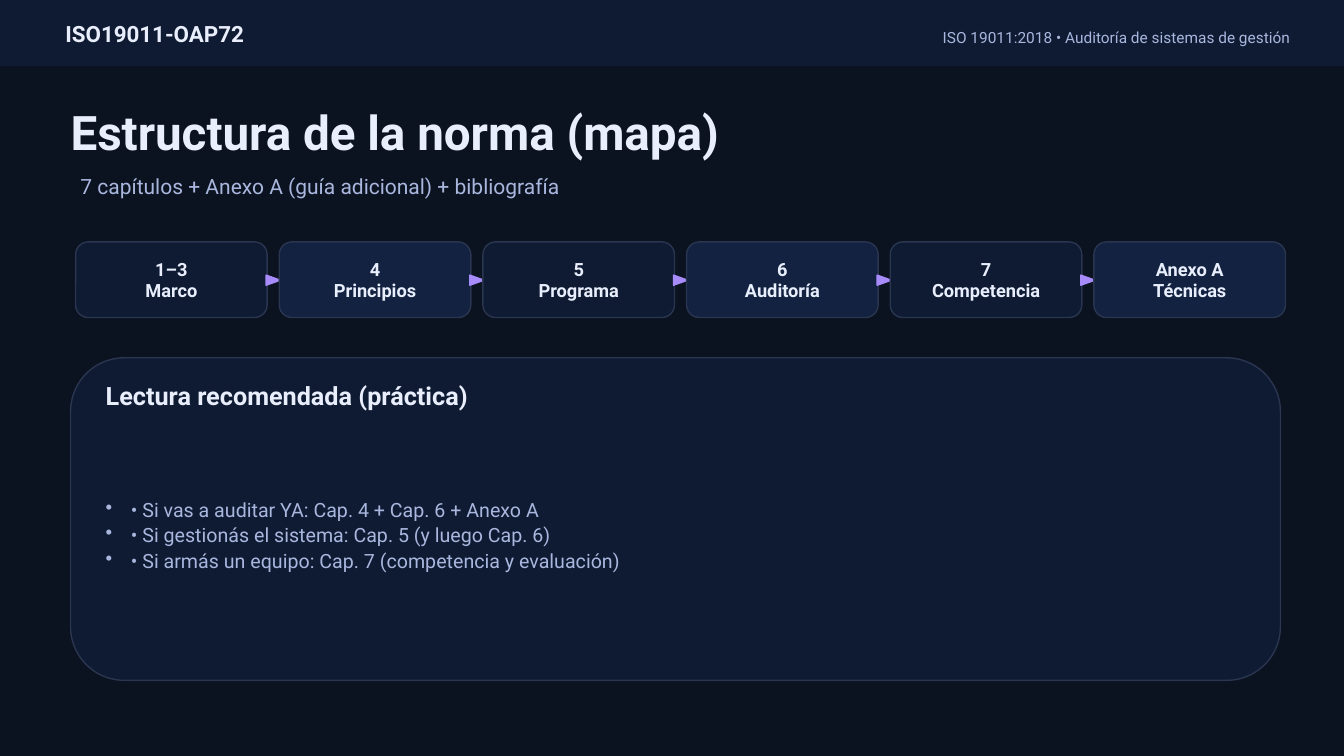
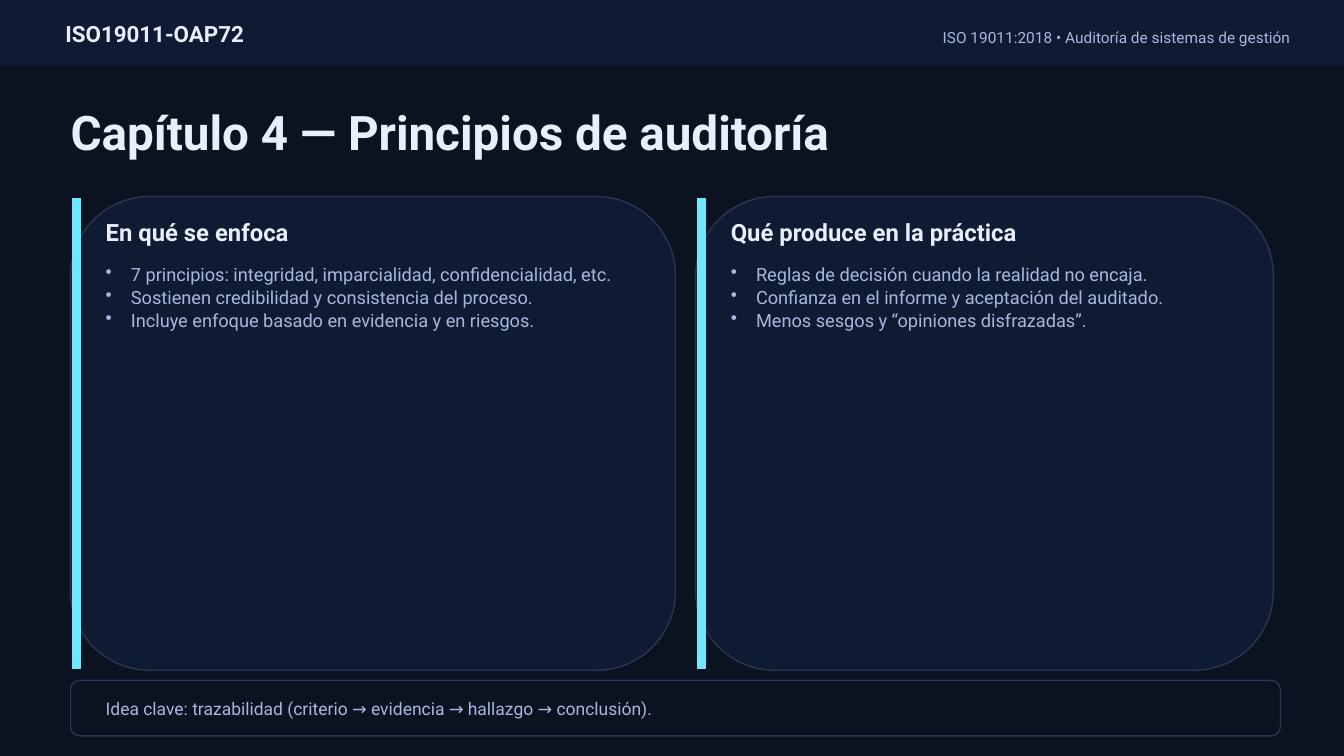
from lxml import etree
from pptx import Presentation
from pptx.dml.color import RGBColor
from pptx.enum.shapes import MSO_SHAPE
from pptx.enum.text import MSO_ANCHOR, MSO_AUTO_SIZE, PP_ALIGN
from pptx.oxml.ns import qn
from pptx.util import Pt

RECT, ROUND, TRI = MSO_SHAPE.RECTANGLE, MSO_SHAPE.ROUNDED_RECTANGLE, MSO_SHAPE.ISOSCELES_TRIANGLE
TOP, MIDDLE, FIXED = MSO_ANCHOR.TOP, MSO_ANCHOR.MIDDLE, MSO_AUTO_SIZE.NONE
LEFT, CENTER, RIGHT = PP_ALIGN.LEFT, PP_ALIGN.CENTER, PP_ALIGN.RIGHT
TITLE_ONLY = 5
BACK, PANEL, ALT, EDGE = "0B1220", "0F1B33", "122240", "2A3550"
LIGHT, MUTED, CYAN, VIOLET = "E8EEFC", "A9B7DE", "6EE7FF", "A78BFA"
WIDTH, HEIGHT = 1333, 750


def px(num):
    """Turn px, 100 to the inch, into EMU."""
    return num * 9144


def tint(hue):
    """Turn a hex string into a colour."""
    return RGBColor.from_string(hue)


class Deck:
    """Hold the style and the current slide."""

    def __init__(self):
        """Start a deck with the shared size and background."""
        self.prs = Presentation()
        self.prs.slide_width, self.prs.slide_height = px(WIDTH), px(HEIGHT)
        fill = self.prs.slide_master.background.fill
        fill.solid()
        fill.fore_color.rgb = tint(BACK)

    def page(self, title):
        """Add a slide with its header band and title."""
        layout = self.prs.slide_layouts[TITLE_ONLY]
        self.slide = self.prs.slides.add_slide(layout)
        self.shape(RECT, (0, 0, WIDTH, 65), PANEL, PANEL)
        self.text((55, 16, 550, 35), ["ISO19011-OAP72"], 16, bold=True)
        self.text((610, 20, 680, 35), ["ISO 19011:2018 • Auditoría de sistemas de gestión"],
                  11, MUTED, align=RIGHT)
        head = self.slide.shapes.title
        head.left, head.top, head.width, head.height = map(px, (60, 95, 1220, 70))
        self.format(head.text_frame, [title], 34, bold=True)

    def shape(self, kind, box, fill, line=EDGE, turn=0, alpha=None):
        """Add a preset shape with a fill and a thin line."""
        item = self.slide.shapes.add_shape(kind, *map(px, box))
        item.shadow.inherit = False
        item.rotation = turn
        item.fill.solid()
        item.fill.fore_color.rgb = tint(fill)
        item.line.color.rgb = tint(line)
        item.line.width = Pt(1)
        if alpha is not None:
            hue = item._element.spPr.find(qn("a:solidFill"))[0]
            etree.SubElement(hue, qn("a:alpha"), val=str(alpha * 1000))

    def text(self, box, lines, size, hue=LIGHT, **style):
        """Add a text box."""
        item = self.slide.shapes.add_textbox(*map(px, box))
        self.format(item.text_frame, lines, size, hue, **style)

    def format(self, frame, lines, size, hue=LIGHT, bold=False, align=LEFT,
               anchor=MIDDLE, space=None, bullet=False):
        """Fill a frame with formatted paragraphs."""
        form = {"word_wrap": True, "auto_size": FIXED, "vertical_anchor": anchor}
        for key, val in form.items():
            setattr(frame, key, val)
        frame.text = "\n".join(lines)
        face = {"name": "Roboto", "size": Pt(size), "bold": bold}
        for para in frame.paragraphs:
            para.alignment = align
            para.line_spacing = space
            font = para.runs[0].font
            for key, val in face.items():
                setattr(font, key, val)
            font.color.rgb = tint(hue)
            if bullet:
                prop = para._p.get_or_add_pPr()
                prop.set("marL", str(px(25)))
                prop.set("indent", str(px(-25)))
                etree.SubElement(prop, qn("a:buChar"), char="•")

    def list(self, box, lines, size, space, anchor=TOP):
        """Add a bullet list."""
        self.text(box, lines, size, MUTED, anchor=anchor, space=space, bullet=True)

    def steps(self, names):
        """Add a row of boxes joined by arrowheads."""
        for i, lines in enumerate(names):
            left = 75 + 202 * i
            self.shape(ROUND, (left, 240, 190, 75), ALT if i % 2 else PANEL)
            self.text((left + 15, 255, 160, 45), lines, 13, bold=True, align=CENTER)
            if i < len(names) - 1:
                self.shape(TRI, (left + 191, 271, 10, 14), VIOLET, VIOLET, turn=90)

    def card(self, left, width, head, lines):
        """Add a panel with an accent bar, a heading and a list."""
        self.shape(ROUND, (left, 195, width, 470), PANEL)
        self.shape(RECT, (left + 2, 197, 8, 466), CYAN, CYAN)
        self.text((left + 25, 213, width - 40, 35), [head], 17, bold=True)
        self.list((left + 25, 255, width - 45, 385), lines, 13, 1.05)


def main():
    """Build and save the deck."""
    deck = Deck()
    deck.page("Estructura de la norma (mapa)")
    deck.text((70, 165, 1200, 40), ["7 capítulos + Anexo A (guía adicional) + bibliografía"],
              15, MUTED)
    deck.steps([("1–3", "Marco"), ("4", "Principios"), ("5", "Programa"),
                ("6", "Auditoría"), ("7", "Competencia"), ("Anexo A", "Técnicas")])
    deck.shape(ROUND, (70, 355, 1200, 320), PANEL)
    deck.text((95, 375, 1150, 35), ["Lectura recomendada (práctica)"], 18, bold=True)
    deck.list((95, 420, 1150, 220), [
        "• Si vas a auditar YA: Cap. 4 + Cap. 6 + Anexo A",
        "• Si gestionás el sistema: Cap. 5 (y luego Cap. 6)",
        "• Si armás un equipo: Cap. 7 (competencia y evaluación)",
    ], 14, 1.08, MIDDLE)

    deck.page("Capítulo 4 — Principios de auditoría")
    deck.card(70, 600, "En qué se enfoca", [
        "7 principios: integridad, imparcialidad, confidencialidad, etc.",
        "Sostienen credibilidad y consistencia del proceso.",
        "Incluye enfoque basado en evidencia y en riesgos.",
    ])
    deck.card(690, 573, "Qué produce en la práctica", [
        "Reglas de decisión cuando la realidad no encaja.",
        "Confianza en el informe y aceptación del auditado.",
        "Menos sesgos y “opiniones disfrazadas”.",
    ])
    deck.shape(ROUND, (70, 675, 1200, 55), BACK, alpha=65)
    deck.text((95, 688, 1150, 30),
              ["Idea clave: trazabilidad (criterio → evidencia → hallazgo → conclusión)."],
              12.5, MUTED)
    deck.prs.save("out.pptx")


if __name__ == "__main__":
    main()
